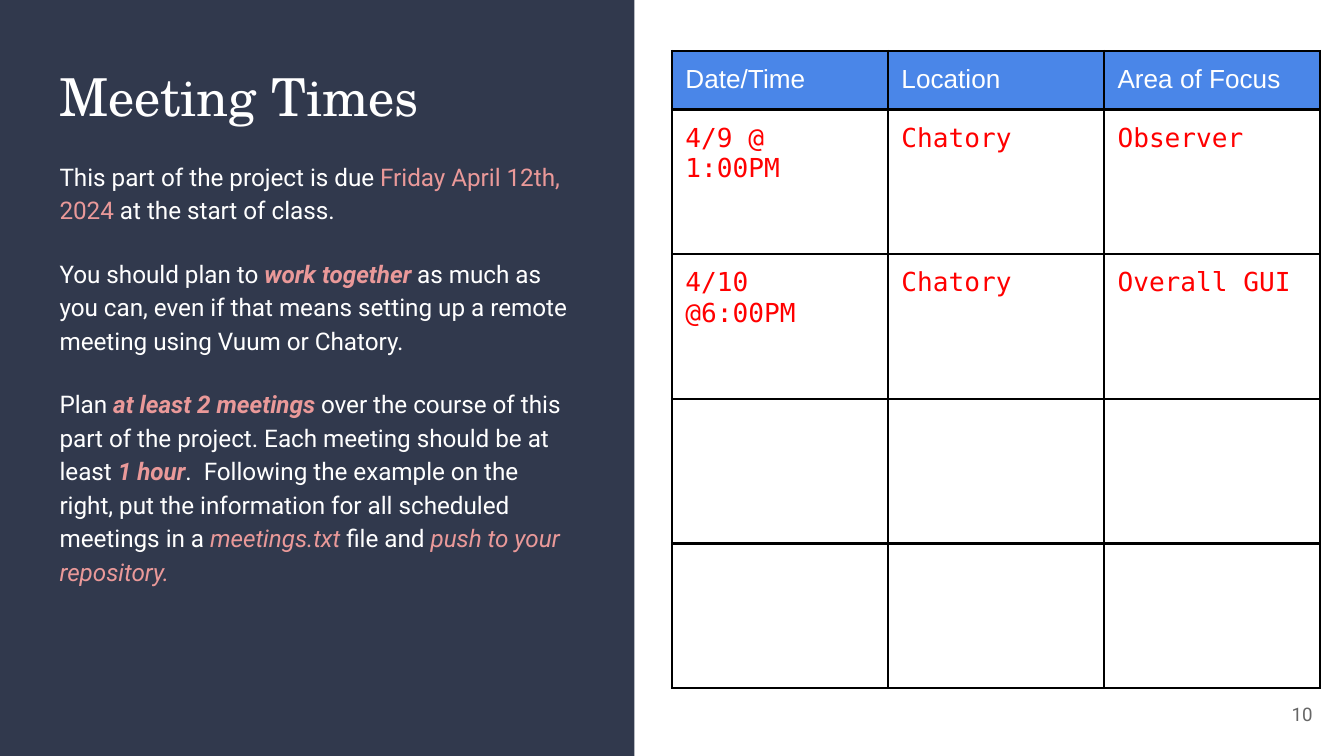
from dataclasses import dataclass
from typing import Optional

from lxml.etree import SubElement
from pptx import Presentation
from pptx.dml.color import RGBColor as RGB
from pptx.enum.shapes import MSO_SHAPE as SHAPE
from pptx.enum.text import MSO_ANCHOR as ANCHOR, PP_ALIGN as ALIGN
from pptx.oxml.ns import qn
from pptx.util import Emu, Inches, Pt

# Widescreen 16:9
W = Inches(10)
H = Emu(W * 9 // 16)


@dataclass(frozen=True)
class Theme:
    navy: str = "31394D"
    white: str = "FFFFFF"
    pink: str = "EA9999"
    blue: str = "4A86E8"
    red: str = "FF0000"
    grey: str = "666666"
    black: str = "000000"
    serif: str = "TeX Gyre Schola"
    sans: str = "Roboto"
    header: str = "Arial"
    mono: str = "DejaVu Sans Mono"
    title_pt: float = 28
    body_pt: float = 13
    table_pt: float = 14
    number_pt: float = 10
    border_pt: float = 1.5


@dataclass(frozen=True)
class Box:
    """Left, top, width and height as percentages of the slide."""
    x: float
    y: float
    w: float
    h: float

    def emu(self) -> tuple:
        return tuple(Emu(int(size * share / 100)) for size, share in
                     ((W, self.x), (H, self.y), (W, self.w), (H, self.h)))


@dataclass(frozen=True)
class Span:
    text: str
    color: str
    bold: bool = False
    italic: bool = False


T = Theme()
PAD = Inches(0.1)


def plain(text: str) -> Span:
    return Span(text, T.white)


def accent(text: str, bold: bool = True) -> Span:
    return Span(text, T.pink, bold, True)


def add_run(p, span: Span, font: str, size: float) -> None:
    r = p.add_run()
    r.text = span.text
    r.font.name, r.font.size = font, Pt(size)
    r.font.bold, r.font.italic = span.bold, span.italic
    r.font.color.rgb = RGB.from_string(span.color)


def add_text(s, box: Box, paragraphs: list, font: str, size: float,
             align=ALIGN.LEFT, anchor=ANCHOR.TOP,
             line: Optional[float] = None, gap: float = 0) -> None:
    tf = s.shapes.add_textbox(*box.emu()).text_frame
    tf.word_wrap, tf.vertical_anchor = True, anchor
    tf.margin_left = tf.margin_right = tf.margin_top = tf.margin_bottom = PAD
    for i, spans in enumerate(paragraphs):
        p = tf.add_paragraph() if i else tf.paragraphs[0]
        p.alignment, p.line_spacing = align, line
        p.space_before = Pt(gap if i else 0)
        for span in spans:
            add_run(p, span, font, size)


def add_borders(cell) -> None:
    tc_pr = cell._tc.get_or_add_tcPr()
    for side in ("lnL", "lnR", "lnT", "lnB"):
        ln = SubElement(tc_pr, qn(f"a:{side}"), w=str(int(Pt(T.border_pt))))
        fill = SubElement(ln, qn("a:solidFill"))
        SubElement(fill, qn("a:srgbClr"), val=T.black)


def add_schedule(s, box: Box, rows: list, header_share: float) -> None:
    x, y, w, h = box.emu()
    table = s.shapes.add_table(len(rows), len(rows[0]), x, y, w, h).table
    header_h = int(h * header_share)
    for i, row in enumerate(rows):
        head = i == 0
        table.rows[i].height = Emu(
            header_h if head else (h - header_h) // (len(rows) - 1))
        font = T.header if head else T.mono
        color = T.white if head else T.red
        for j, text in enumerate(row):
            cell = table.cell(i, j)
            cell.margin_left = cell.margin_right = PAD
            cell.margin_top = cell.margin_bottom = PAD
            add_borders(cell)
            if head:
                cell.fill.solid()
                cell.fill.fore_color.rgb = RGB.from_string(T.blue)
            else:
                cell.fill.background()
            if text:
                add_run(cell.text_frame.paragraphs[0], Span(text, color),
                        font, T.table_pt)


BODY = [
    [plain("This part of the project is due "),
     Span("Friday April 12th, 2024", T.pink),
     plain(" at the start of class.")],
    [plain("You should plan to "), accent("work together "),
     plain("as much as you can, even if that means setting up a remote "
           "meeting using Vuum or Chatory.")],
    [plain("Plan "), accent("at least 2 meetings "),
     plain("over the course of this part of the project. Each meeting "
           "should be at least "),
     accent("1 hour"),
     plain(".  Following the example on the right, put the information for "
           "all scheduled meetings in a "),
     accent("meetings.txt", bold=False), plain(" file and "),
     accent("push to your repository.", bold=False)],
]

MEETINGS = [
    ("Date/Time", "Location", "Area of Focus"),
    ("4/9 @ 1:00PM", "Chatory", "Observer"),
    ("4/10 @6:00PM", "Chatory", "Overall GUI"),
    ("", "", ""),
    ("", "", ""),
]


def main() -> None:
    prs = Presentation()
    prs.slide_width, prs.slide_height = W, H
    s = prs.slides.add_slide(prs.slide_layouts[6])

    # Dark left panel
    sp = s.shapes.add_shape(SHAPE.RECTANGLE, *Box(0, 0, 47.2, 100).emu())
    sp.shadow.inherit = False
    sp.fill.solid()
    sp.fill.fore_color.rgb = RGB.from_string(T.navy)
    sp.line.fill.background()

    # Title and instructions
    add_text(s, Box(3.45, 6.75, 40.5, 12.45), [[plain("Meeting Times")]],
             T.serif, T.title_pt)
    add_text(s, Box(3.45, 19.1, 40.5, 68.6), BODY, T.sans, T.body_pt,
             line=1.15, gap=16)

    # Meeting schedule
    add_schedule(s, Box(50, 6.75, 48.23, 84.15), MEETINGS, 0.09)

    # Slide number
    add_text(s, Box(92.65, 90.67, 6, 7.65), [[Span("10", T.grey)]],
             T.sans, T.number_pt, ALIGN.RIGHT, ANCHOR.MIDDLE)

    prs.save("out.pptx")


if __name__ == "__main__":
    main()
